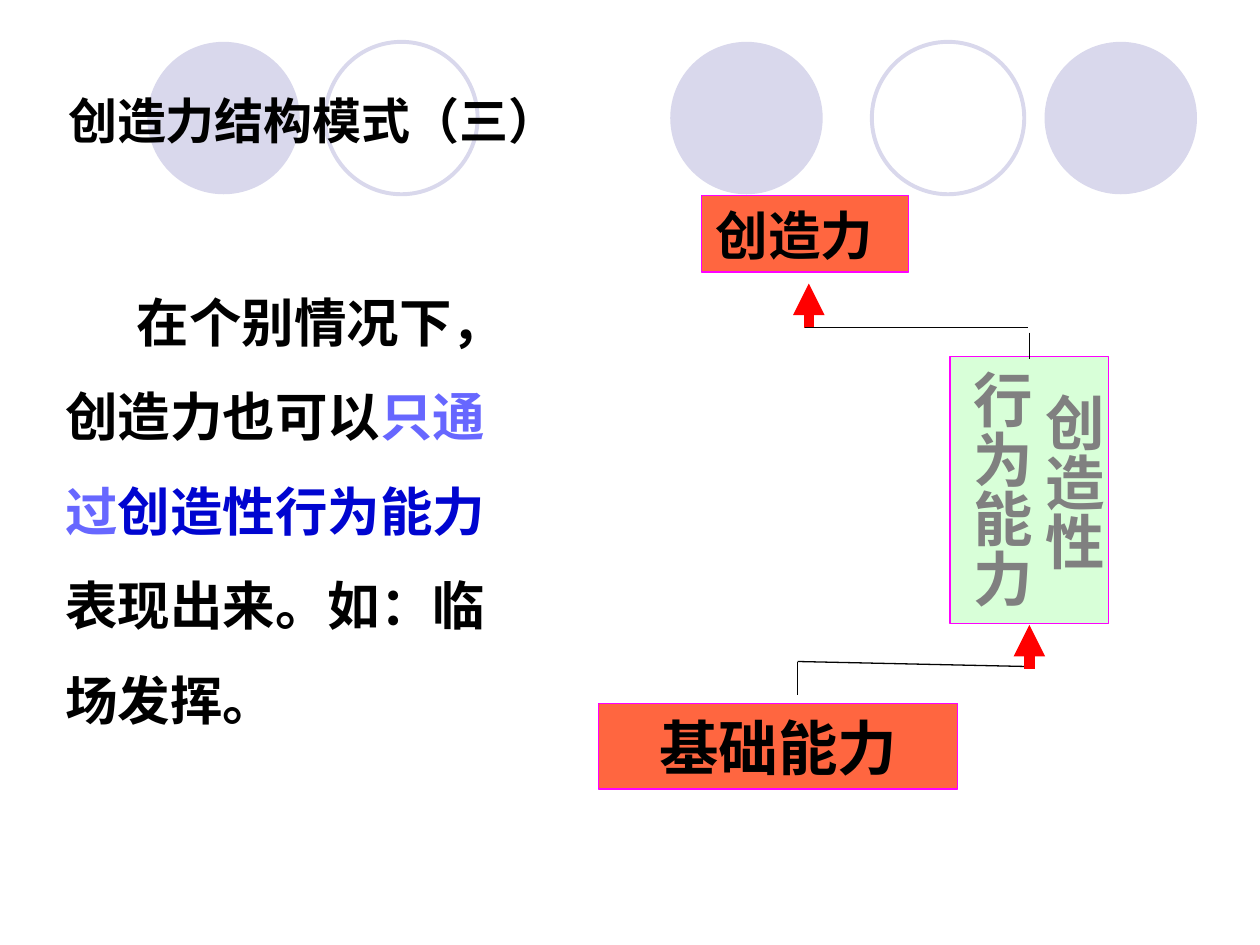
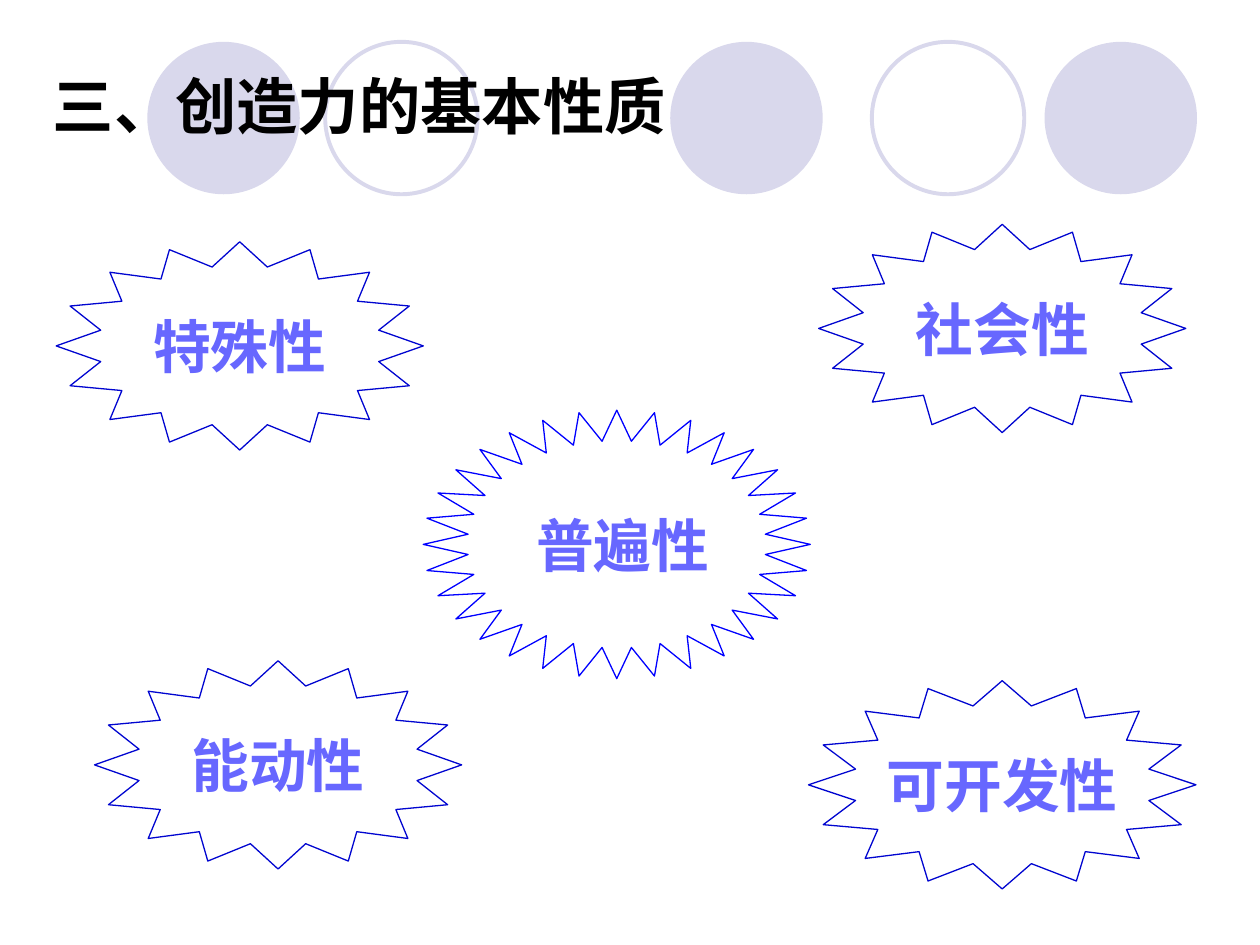
from dataclasses import dataclass

from lxml import etree
from pptx import Presentation
from pptx.dml.color import RGBColor
from pptx.enum.shapes import MSO_CONNECTOR, MSO_SHAPE
from pptx.enum.text import MSO_ANCHOR, MSO_AUTO_SIZE, PP_ALIGN
from pptx.oxml.ns import qn
from pptx.util import Pt

ELLIPSE, RECTANGLE = MSO_SHAPE.OVAL, MSO_SHAPE.RECTANGLE
STAR_16, STAR_32 = MSO_SHAPE.STAR_16_POINT, MSO_SHAPE.STAR_32_POINT
STRAIGHT = MSO_CONNECTOR.STRAIGHT
TOP, MIDDLE = MSO_ANCHOR.TOP, MSO_ANCHOR.MIDDLE
LEFT, CENTER = PP_ALIGN.LEFT, PP_ALIGN.CENTER
NO_FIT = MSO_AUTO_SIZE.NONE

WHITE = RGBColor(0xFF, 0xFF, 0xFF)
BLACK = RGBColor(0x00, 0x00, 0x00)
INK = RGBColor(0x04, 0x04, 0x04)
GREY = RGBColor(0x80, 0x80, 0x80)
LAVENDER = RGBColor(0xD9, 0xD8, 0xEC)
PERIWINKLE = RGBColor(0x67, 0x67, 0xFF)
NAVY = RGBColor(0x00, 0x05, 0xD0)
BLUE = RGBColor(0x00, 0x00, 0xFF)
RED = RGBColor(0xFF, 0x00, 0x00)
ORANGE = RGBColor(0xFF, 0x33, 0x00)
MINT = RGBColor(0xCC, 0xFF, 0xCC)
MAGENTA = RGBColor(0xFF, 0x00, 0xFF)

FONT = "Arial"
THIN = 0.75
CIRCLE_TOP, CIRCLE_SIZE = 23.9, 87.1
BURST_SIZE = 33
BURST_DEPTH = 0.386
BOX_OPACITY = 75000
WIDE_INSETS = (7.92, 4.32, 7.92, 4.32)
BODY_INSETS = (7.2, 3.6, 7.2, 3.6)


@dataclass(frozen=True)
class Frame:
    left: float
    top: float
    width: float
    height: float

    def lengths(self) -> tuple:
        return Pt(self.left), Pt(self.top), Pt(self.width), Pt(self.height)


@dataclass(frozen=True)
class Circle:
    left: float
    filled: bool


@dataclass(frozen=True)
class AbilityBox:
    frame: Frame
    lines: tuple
    size: float
    fill: RGBColor
    color: RGBColor = BLACK
    align: PP_ALIGN = CENTER
    vertical: bool = False


@dataclass(frozen=True)
class Link:
    start: tuple
    end: tuple
    color: RGBColor = INK
    weight: float = THIN
    arrow: bool = False


@dataclass(frozen=True)
class Burst:
    label: str
    frame: Frame
    preset: MSO_SHAPE = STAR_16
    outline: RGBColor = NAVY
    left_inset: float = 7.2


CIRCLES = (
    Circle(383, True),
    Circle(596.9, True),
    Circle(84.2, True),
    Circle(498.2, False),
    Circle(185.8, False),
)

ABILITY_BOXES = (
    AbilityBox(Frame(342, 401.8, 205.2, 49), ("基础能力",), 34, ORANGE),
    AbilityBox(Frame(401, 111.6, 118.1, 43.9), ("创造力",), 30, ORANGE, align=LEFT),
    AbilityBox(Frame(542.9, 203.8, 90.7, 152.6), ("创造性 ", "行为能力"), 34, MINT,
               color=GREY, vertical=True),
)

LINKS = (
    Link((462.2, 187.2), (462.2, 162), RED, 6, True),
    Link((460.1, 187.2), (587.5, 187.2)),
    Link((455.8, 378), (588.2, 380.9)),
    Link((588.2, 190.1), (588.2, 205.2)),
    Link((455.8, 378), (455.8, 397.4)),
    Link((588.2, 382.3), (588.2, 357.1), RED, 6, True),
)

BODY_PARTS = (
    ("在个别情况下，创造力也可以", BLACK),
    ("只通过", PERIWINKLE),
    ("创造性行为能力", NAVY),
    ("表现出来。如：临场发挥。", BLACK),
)

BURSTS = (
    Burst("普遍性", Frame(241.9, 234.4, 221.1, 153.4), STAR_32, BLUE, 14),
    Burst("特殊性", Frame(32.1, 138.2, 209.8, 119)),
    Burst("可开发性", Frame(462, 389, 221.4, 119)),
    Burst("能动性", Frame(54, 377.6, 209.8, 119)),
    Burst("社会性", Frame(467.8, 128.2, 209.8, 119)),
)


def style_run(run, size: float, color: RGBColor) -> None:
    run.font.name = FONT
    run.font.size = Pt(size)
    run.font.bold = True
    run.font.color.rgb = color


def set_text_frame(text_frame, insets: tuple, anchor: MSO_ANCHOR, wrap: bool = True) -> None:
    text_frame.auto_size = NO_FIT
    text_frame.word_wrap = wrap
    text_frame.vertical_anchor = anchor
    (text_frame.margin_left, text_frame.margin_top,
     text_frame.margin_right, text_frame.margin_bottom) = map(Pt, insets)


def add_plain_shape(slide, preset: MSO_SHAPE, frame: Frame, fill: RGBColor | None,
                    outline: RGBColor | None, weight: float = THIN):
    shape = slide.shapes.add_shape(preset, *frame.lengths())
    shape.shadow.inherit = False
    if fill is None:
        shape.fill.background()
    else:
        shape.fill.solid()
        shape.fill.fore_color.rgb = fill
    if outline is None:
        shape.line.fill.background()
    else:
        shape.line.color.rgb = outline
        shape.line.width = Pt(weight)
    return shape


def move_circles_to_layout(slide) -> None:
    layout_tree = slide.slide_layout.shapes.element
    for order, circle in enumerate(CIRCLES):
        frame = Frame(circle.left, CIRCLE_TOP, CIRCLE_SIZE, CIRCLE_SIZE)
        fill, outline = (LAVENDER, None) if circle.filled else (None, LAVENDER)
        disc = add_plain_shape(slide, ELLIPSE, frame, fill, outline, 2.25)
        disc.element.nvSpPr.cNvPr.set("id", str(100 + order))
        layout_tree.insert(2 + order, disc.element)


def set_title(slide, text: str, frame: Frame, size: float) -> None:
    title = slide.shapes.title
    title.left, title.top, title.width, title.height = frame.lengths()
    title.text_frame.text = text
    set_text_frame(title.text_frame, WIDE_INSETS, MIDDLE)
    heading = title.text_frame.paragraphs[0]
    heading.alignment = LEFT
    style_run(heading.runs[0], size, BLACK)


def add_body(slide, frame: Frame) -> None:
    body = slide.shapes.add_textbox(*frame.lengths())
    set_text_frame(body.text_frame, BODY_INSETS, TOP)
    paragraph = body.text_frame.paragraphs[0]
    paragraph.line_spacing = 1.5
    properties = paragraph._p.get_or_add_pPr()
    properties.set("marL", "0")
    properties.set("indent", str(Pt(41)))
    for text, color in BODY_PARTS:
        run = paragraph.add_run()
        run.text = text
        style_run(run, 30, color)


def add_ability_box(slide, box: AbilityBox) -> None:
    shape = add_plain_shape(slide, RECTANGLE, box.frame, box.fill, MAGENTA)
    fill_color = shape.element.spPr.find(f"{qn('a:solidFill')}/{qn('a:srgbClr')}")
    etree.SubElement(fill_color, qn("a:alpha"), val=str(BOX_OPACITY))
    text_frame = shape.text_frame
    text_frame.text = "\n".join(box.lines)
    insets = WIDE_INSETS[1:] + WIDE_INSETS[:1] if box.vertical else WIDE_INSETS
    set_text_frame(text_frame, insets, TOP)
    for paragraph in text_frame.paragraphs:
        paragraph.alignment = box.align
        style_run(paragraph.runs[0], box.size, box.color)
    if box.vertical:
        text_frame._txBody.bodyPr.set("vert", "eaVert")
        first, second = text_frame.paragraphs
        first.line_spacing = 0.9
        second.line_spacing = 0.4
        second.space_before = Pt(21.3)


def add_link(slide, link: Link) -> None:
    connector = slide.shapes.add_connector(STRAIGHT, *map(Pt, link.start + link.end))
    connector.line.color.rgb = link.color
    connector.line.width = Pt(link.weight)
    properties = connector.element.spPr
    if link.arrow:
        etree.SubElement(properties.find(qn("a:ln")), qn("a:tailEnd"), type="triangle")
    etree.SubElement(properties, qn("a:effectLst"))


def add_burst(slide, burst: Burst) -> None:
    star = add_plain_shape(slide, burst.preset, burst.frame, WHITE, burst.outline)
    star.adjustments[0] = BURST_DEPTH
    star.text_frame.text = burst.label
    set_text_frame(star.text_frame, (burst.left_inset,) + BODY_INSETS[1:], MIDDLE, wrap=False)
    paragraph = star.text_frame.paragraphs[0]
    paragraph.alignment = CENTER
    style_run(paragraph.runs[0], BURST_SIZE, PERIWINKLE)


def main() -> None:
    presentation = Presentation()
    presentation.slide_width, presentation.slide_height = Pt(720), Pt(540)
    title_only = presentation.slide_layouts[5]

    structure = presentation.slides.add_slide(title_only)
    move_circles_to_layout(structure)
    set_title(structure, "创造力结构模式（三）", Frame(31, 31.7, 329, 73.4), 28)
    add_body(structure, Frame(30.2, 144, 275.8, 277.2))
    for box in ABILITY_BOXES:
        add_ability_box(structure, box)
    for link in LINKS:
        add_link(structure, link)

    properties = presentation.slides.add_slide(title_only)
    set_title(properties, "三、创造力的基本性质", Frame(22.3, 30.2, 571.7, 59.8), 35)
    for burst in BURSTS:
        add_burst(properties, burst)

    presentation.save("out.pptx")


if __name__ == "__main__":
    main()
